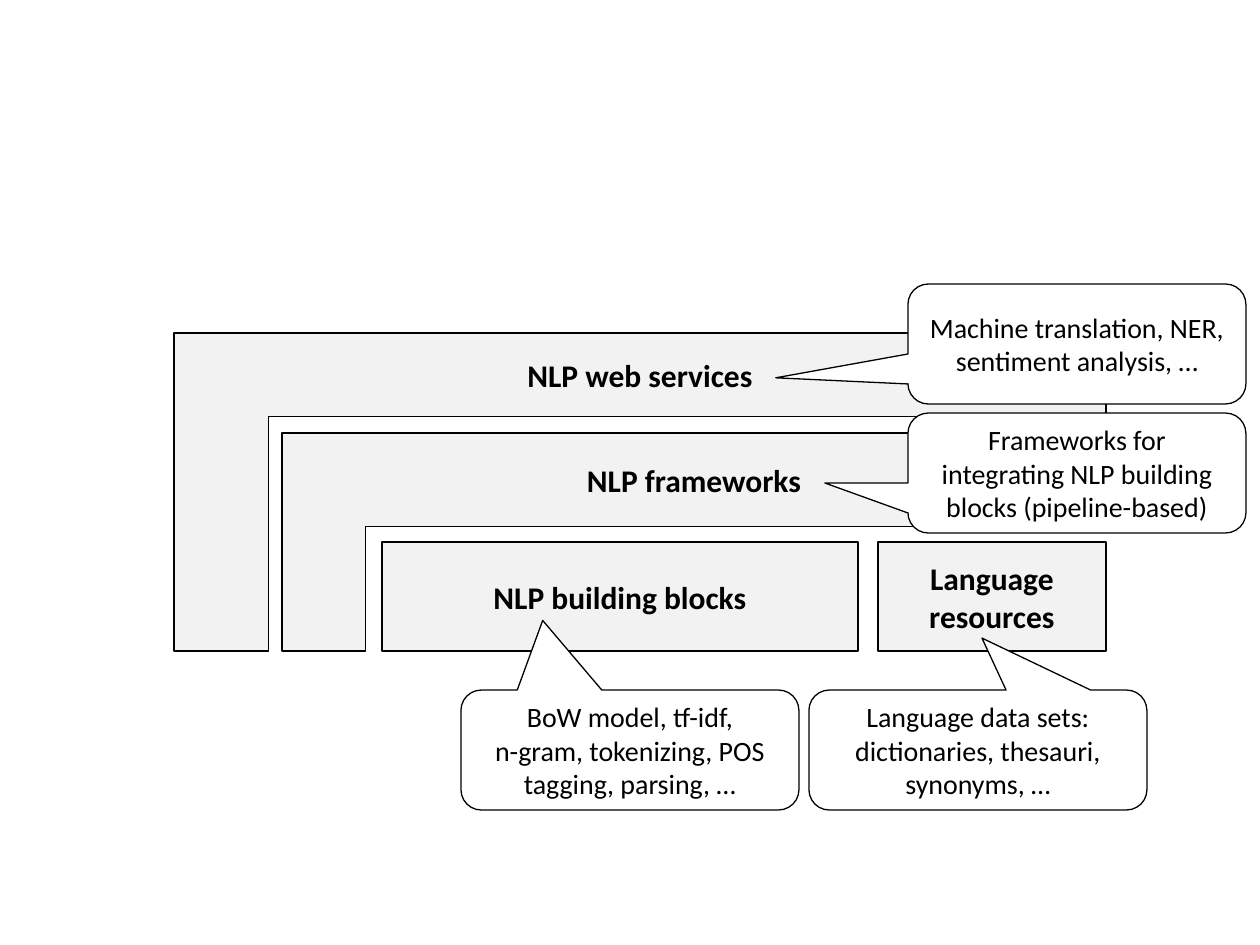
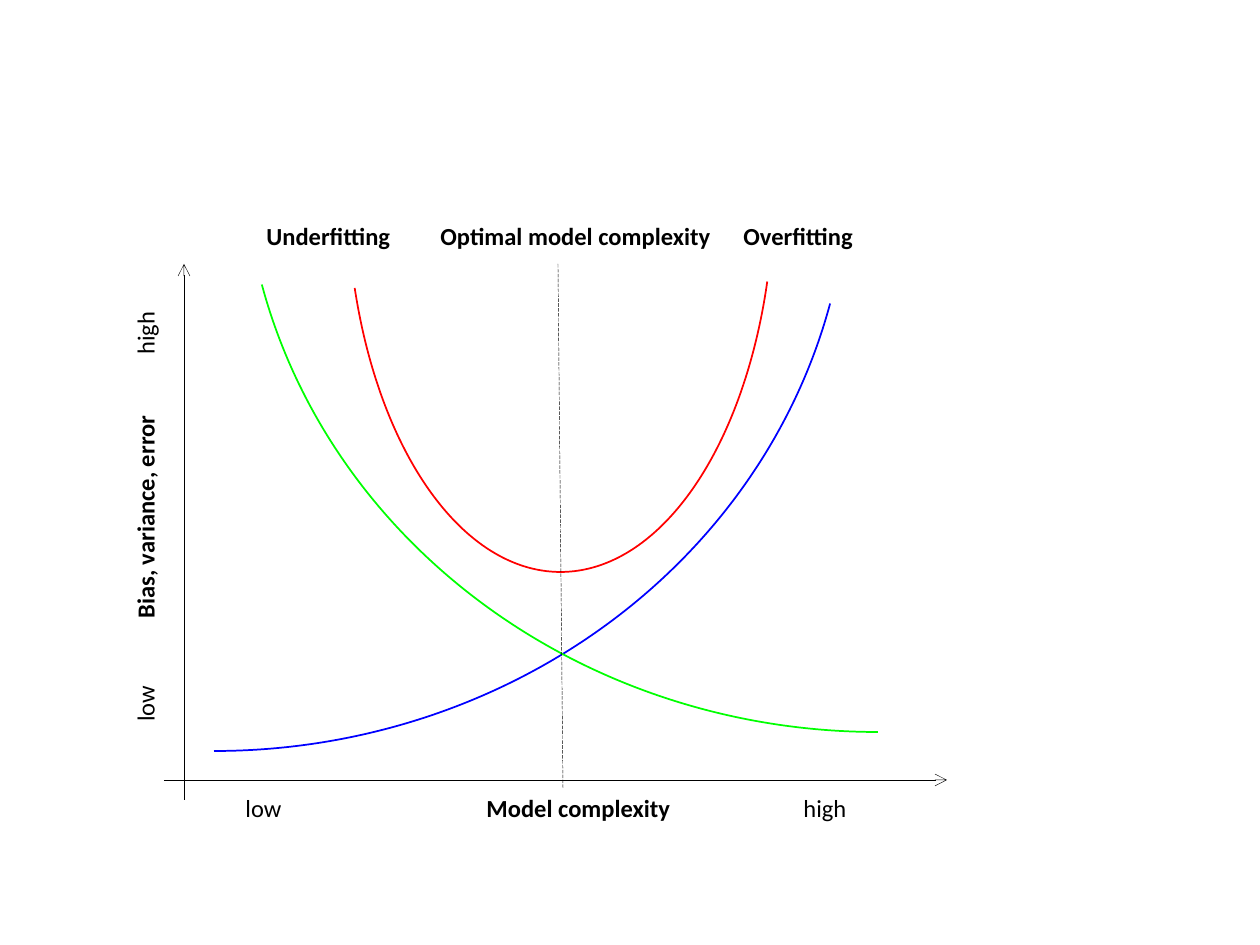
from lxml.etree import SubElement
from pptx import Presentation
from pptx.dml.color import RGBColor
from pptx.enum.dml import MSO_LINE
from pptx.enum.shapes import MSO_CONNECTOR, MSO_SHAPE
from pptx.enum.text import MSO_ANCHOR, PP_ALIGN
from pptx.oxml.ns import qn
from pptx.util import Pt

PX = 914400 / 126
FONT = "Calibri"
BLACK, WHITE, GREY = "000000", "FFFFFF", "F2F2F2"
BLUE, GREEN, RED = "0000FF", "00FF00", "FF0000"


def px(length):
    return round(length * PX)


def color(value):
    return RGBColor.from_string(value)


def turned_frame(left, top, width, height):
    shift = (width - height) / 2
    return left + shift, top - shift, height, width


def style_line(line, value, points):
    line.color.rgb = color(value)
    line.width = Pt(points)


def style_font(paragraph, size, bold=None):
    font = paragraph.font
    font.name, font.size, font.bold = FONT, Pt(size), bold
    font.color.rgb = color(BLACK)


def add_outlined(slide, kind, frame, line_color, points, adjustments=(), rotation=0):
    shape = slide.shapes.add_shape(kind, *map(px, frame))
    shape.shadow.inherit = False
    shape.rotation = rotation
    for index, value in enumerate(adjustments):
        shape.adjustments[index] = value
    style_line(shape.line, line_color, points)
    return shape


def add_labelled(slide, kind, frame, text, size, bold, fill, adjustments=(), rotation=0):
    shape = add_outlined(slide, kind, frame, BLACK, 0.75, adjustments, rotation)
    shape.fill.solid()
    shape.fill.fore_color.rgb = color(fill)
    text_frame = shape.text_frame
    text_frame.word_wrap = True
    text_frame.vertical_anchor = MSO_ANCHOR.MIDDLE
    paragraph = text_frame.paragraphs[0]
    paragraph.text = text
    paragraph.alignment = PP_ALIGN.CENTER
    style_font(paragraph, size, bold)
    return shape


def add_block(slide, frame, text):
    add_labelled(slide, MSO_SHAPE.RECTANGLE, frame, text, 18, True, GREY)


def add_corner_layer(slide, bounds, text, adjustments):
    shape = add_labelled(slide, MSO_SHAPE.CORNER, turned_frame(*bounds), text,
                         18, True, GREY, adjustments, 90)
    shape.text_frame._txBody.bodyPr.set("vert", "vert270")


def add_callout(slide, left, top, text, pointer):
    add_labelled(slide, MSO_SHAPE.ROUNDED_RECTANGULAR_CALLOUT, (left, top, 338, 120),
                 text, 16, False, WHITE, (*pointer, 0.17))


def add_curve(slide, bounds, line_color, angles, rotation=90, flipped=False):
    shape = add_outlined(slide, MSO_SHAPE.ARC, turned_frame(*bounds), line_color, 1,
                         angles, rotation)
    shape.fill.background()
    if flipped:
        shape._element.spPr.find(qn("a:xfrm")).set("flipH", "1")


def add_thin_line(slide, start, end, arrow=False, dash=None):
    connector = slide.shapes.add_connector(
        MSO_CONNECTOR.STRAIGHT, *map(px, (*start, *end)))
    style_line(connector.line, BLACK, 0.25)
    if dash:
        connector.line.dash_style = dash
    if arrow:
        SubElement(connector.line._get_or_add_ln(), qn("a:tailEnd"), type="arrow")
    SubElement(connector._element.spPr, qn("a:effectLst"))


def add_label_row(slide, frame, labels, stops, bold_flags, rotation=0):
    box = slide.shapes.add_textbox(*map(px, frame))
    box.rotation = rotation
    box.text_frame.word_wrap = True
    paragraph = box.text_frame.paragraphs[0]
    tab_list = SubElement(paragraph._p.get_or_add_pPr(), qn("a:tabLst"))
    for stop in stops:
        SubElement(tab_list, qn("a:tab"), pos=str(px(stop)), algn="l")
    style_font(paragraph, 14)
    for index, (label, bold) in enumerate(zip(labels, bold_flags)):
        run = paragraph.add_run()
        run.text = "\t" + label if index else label
        run.font.bold = bold


def build_nlp_layers(slide):
    add_block(slide, (382, 542, 476, 109), "NLP building blocks")
    add_block(slide, (878, 542, 228, 109), "Language resources")
    add_corner_layer(slide, (174, 333, 932, 318), "NLP web services", (0.296, 0.262))
    add_corner_layer(slide, (282, 433, 824, 218), "NLP frameworks", (0.384, 0.43))
    callouts = [
        (908, 284, "Machine translation, NER, sentiment analysis, …", (-0.891, 0.282)),
        (908, 413, "Frameworks for integrating NLP building blocks (pipeline-based)",
         (-0.746, 0.083)),
        (461, 690, "BoW model, tf-idf,\nn-gram, tokenizing, POS tagging, parsing, …",
         (-0.258, -1.08)),
        (809, 690, "Language data sets: dictionaries, thesauri, synonyms, …",
         (0.012, -0.933)),
    ]
    for callout in callouts:
        add_callout(slide, *callout)


def build_model_fit(slide):
    add_thin_line(slide, (164, 780), (947, 780), arrow=True)
    add_thin_line(slide, (184, 800), (184, 264), arrow=True)
    add_curve(slide, (-421, -430, 1270, 1181), BLUE, (169.84, 0))
    add_curve(slide, (243, -449, 1270, 1181), GREEN, (169.84, 0), 270, True)
    add_curve(slide, (347, -202, 427, 774), RED, (177.02, 38.05))
    add_thin_line(slide, (558, 264), (563, 788), dash=MSO_LINE.LONG_DASH)
    middle_bold = (False, True, False)
    add_label_row(slide, (233, 787, 634, 43), ("low", "Model complexity", "high"),
                  (241, 558), middle_bold)
    add_label_row(slide, turned_frame(124, 297, 43, 437),
                  ("low", "Bias, variance, error", "high"), (103, 367), middle_bold, 270)
    add_label_row(slide, (254, 215, 630, 43),
                  ("Underfitting", "Optimal model complexity", "Overfitting"),
                  (174, 477), (True, True, True))


def main():
    presentation = Presentation()
    presentation.slide_width = px(1260)
    presentation.slide_height = px(945)
    for build in (build_nlp_layers, build_model_fit):
        build(presentation.slides.add_slide(presentation.slide_layouts[6]))
    presentation.save("out.pptx")


if __name__ == "__main__":
    main()
